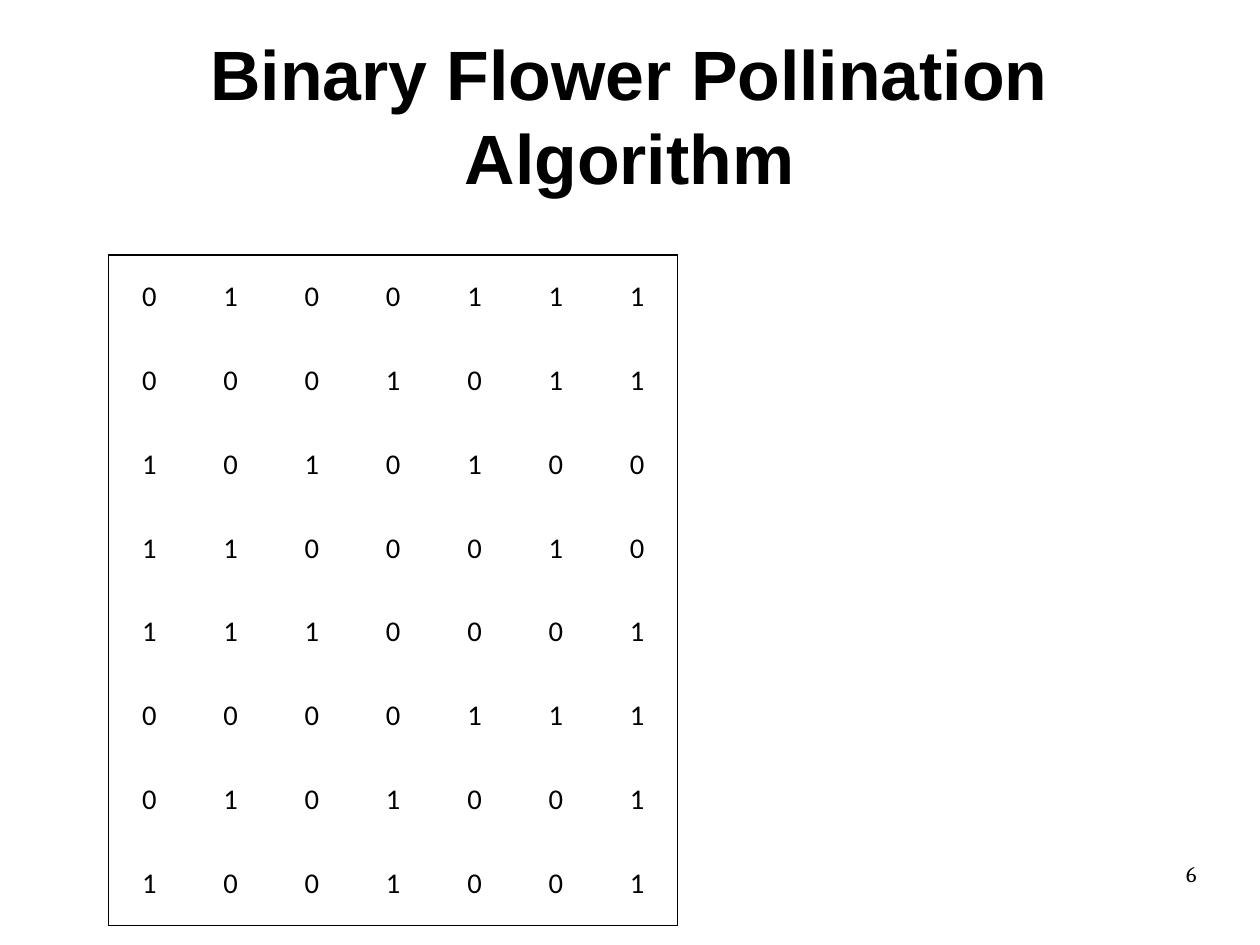
from lxml import etree
from pptx import Presentation
from pptx import util as u
from pptx.dml.color import RGBColor
from pptx.enum import text
from pptx.oxml.ns import qn

COLOURS = {"ink": "000000", "paper": "FFFFFF"}
CM_PER_INCH = 2.54
POPULATION = [
    "0100111",
    "0001011",
    "1010100",
    "1100010",
    "1110001",
    "0000111",
    "0101001",
    "1001001",
]


class SlideBuilder:
    def __init__(self, deck):
        self.page = deck.slides.add_slide(deck.slide_layouts[6])
        self.page.background.fill.solid()
        self.page.background.fill.fore_color.rgb = RGBColor.from_string(COLOURS["paper"])

    def style(self, para, font, size, align, bold=False):
        para.alignment = align
        para.font.name = font
        para.font.size = u.Pt(size)
        para.font.bold = bold
        para.font.color.rgb = RGBColor.from_string(COLOURS["ink"])

    def label(self, words, left, top, width, height, anchor, **style):
        box = self.page.shapes.add_textbox(
            u.Inches(left), u.Inches(top), u.Inches(width), u.Inches(height))
        frame = box.text_frame
        frame.word_wrap = True
        frame.vertical_anchor = anchor
        frame.margin_left = frame.margin_right = 0
        frame.margin_top = frame.margin_bottom = 0
        frame.text = words
        self.style(frame.paragraphs[0], **style)

    def border(self, cell, side, visible):
        line = etree.SubElement(cell._tc.get_or_add_tcPr(), qn("a:ln" + side))
        if visible:
            line.set("w", str(u.Pt(1)))
            fill = etree.SubElement(line, qn("a:solidFill"))
            etree.SubElement(fill, qn("a:srgbClr")).set("val", COLOURS["ink"])
        else:
            etree.SubElement(line, qn("a:noFill"))

    def framed_grid(self, rows, left, top, width, height, **style):
        last_row, last_column = len(rows) - 1, len(rows[0]) - 1
        table = self.page.shapes.add_table(
            len(rows), len(rows[0]), u.Inches(left), u.Inches(top),
            u.Inches(width), u.Inches(height)).table
        table.first_row = table.horz_banding = False
        for r, values in enumerate(rows):
            for c, value in enumerate(values):
                cell = table.cell(r, c)
                cell.text = value
                cell.vertical_anchor = text.MSO_ANCHOR.MIDDLE
                self.style(cell.text_frame.paragraphs[0], **style)
                # Only the outer edge of the grid is drawn
                edges = {"L": c == 0, "R": c == last_column,
                         "T": r == 0, "B": r == last_row}
                for side, visible in edges.items():
                    self.border(cell, side, visible)
                cell.fill.background()


def main():
    # Page of 28 by 21 cm
    deck = Presentation()
    deck.slide_width = u.Inches(28 / CM_PER_INCH)
    deck.slide_height = u.Inches(21 / CM_PER_INCH)
    slide = SlideBuilder(deck)

    # Title
    slide.label("Binary Flower Pollination Algorithm", 0.55, 0.31, 9.92, 1.38,
                text.MSO_ANCHOR.MIDDLE, font="Arial", size=44,
                align=text.PP_ALIGN.CENTER, bold=True)

    # Binary population
    slide.framed_grid(POPULATION, 0.95, 2.23, 4.98, 5.87,
                      font="Calibri", size=18, align=text.PP_ALIGN.CENTER)

    # Page number
    slide.label("6", 7.9, 7.53, 2.57, 0.57, text.MSO_ANCHOR.TOP,
                font="Cambria", size=14, align=text.PP_ALIGN.RIGHT)

    deck.save("out.pptx")


if __name__ == "__main__":
    main()
